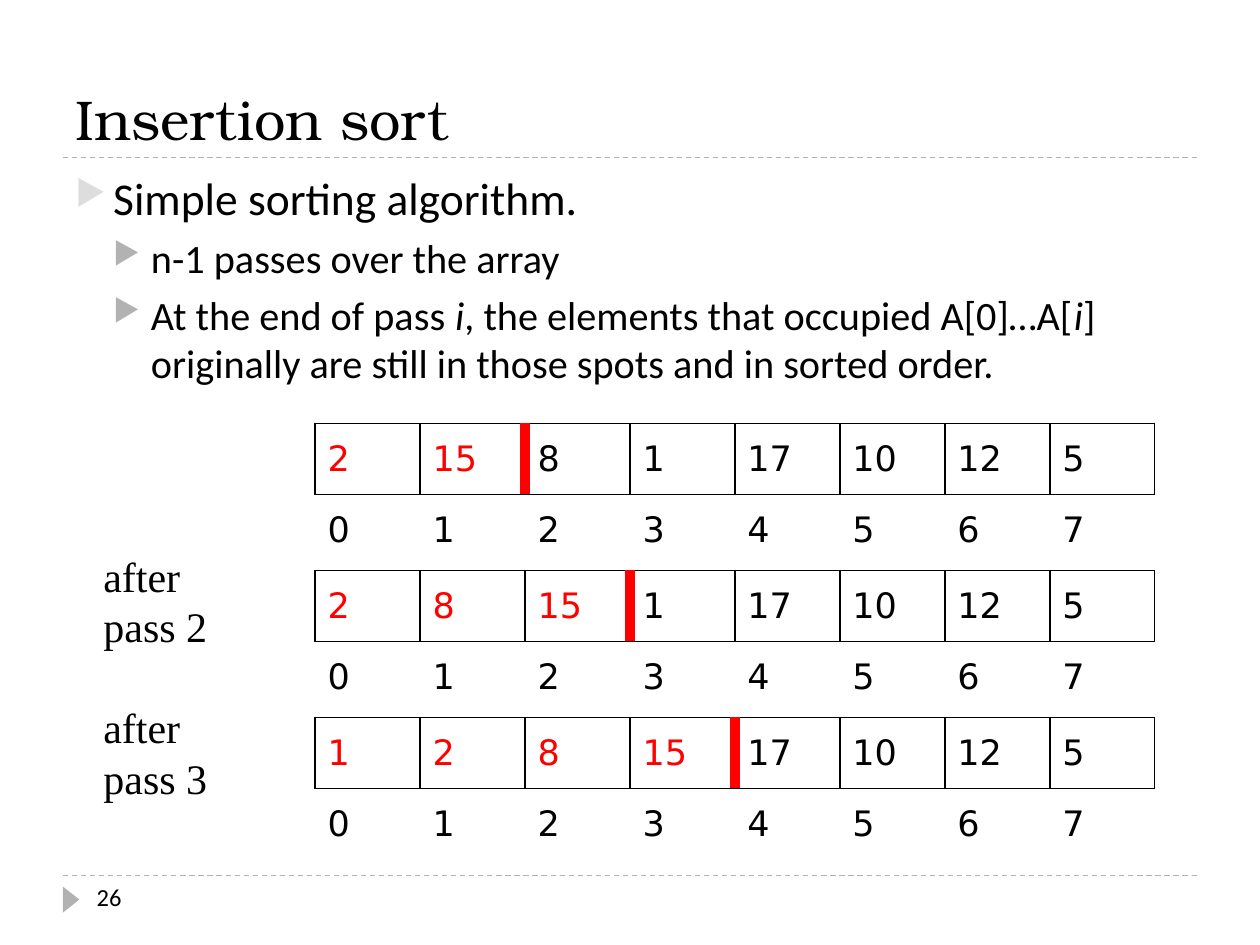
from dataclasses import dataclass

from lxml import etree
from pptx import Presentation
from pptx import util as u
from pptx.dml import color
from pptx.enum import dml, shapes, text
from pptx.oxml import ns

Pt = u.Pt


@dataclass(frozen=True)
class Theme:
    """Colours, fonts and type sizes of the deck."""
    ink: str = "000000"
    sorted: str = "FF0000"
    rule: str = "B2B2B2"
    pale: str = "DDDDDD"
    title_font: str = "TeX Gyre Bonum"
    body_font: str = "Calibri"
    cell_font: str = "DejaVu Sans"
    label_font: str = "Times New Roman"
    title: float = 32
    lead: float = 26
    detail: float = 23
    cell: float = 20
    label: float = 24
    number: float = 14


THEME = Theme()
NO_GRID = "{2D5ABB26-0587-4C30-8999-92F81FD0307C}"


def rgb(value):
    """Return a colour from its hex value."""
    return color.RGBColor.from_string(value)


def add_element(parent, tag, **attributes):
    """Append a DrawingML element to its parent."""
    return etree.SubElement(parent, ns.qn(f"a:{tag}"), attributes)


def style_font(font, name, size, ink=THEME.ink):
    """Set the face, size and colour of a font."""
    font.name, font.size = name, Pt(size)
    font.color.rgb = rgb(ink)


def add_text(page, box, lines, name, size, anchor=text.MSO_ANCHOR.TOP, wrap=True):
    """Place plain lines of text in a box."""
    frame = page.shapes.add_textbox(*map(Pt, box)).text_frame
    frame.word_wrap, frame.vertical_anchor = wrap, anchor
    frame.text = "\n".join(lines)
    for para in frame.paragraphs:
        for span in para.runs:
            style_font(span.font, name, size)


def add_rule(page, left, top, width):
    """Draw a dashed horizontal rule."""
    rule = page.shapes.add_connector(
        shapes.MSO_CONNECTOR.STRAIGHT, Pt(left), Pt(top), Pt(left + width), Pt(top))
    rule.line.color.rgb = rgb(THEME.rule)
    rule.line.width = Pt(0.75)
    rule.line.dash_style = dml.MSO_LINE.DASH
    add_element(rule._element.spPr, "effectLst")


def add_heading(page, box, title):
    """Place the title on top of its rule."""
    left, top, width, height = box
    add_rule(page, left, top + height, width)
    add_text(page, box, [title], THEME.title_font, THEME.title, text.MSO_ANCHOR.BOTTOM)


def add_footer(page, box, number):
    """Place the rule, marker and page number."""
    left, top, width, height = box
    add_rule(page, left, top, width)
    marker = page.shapes.add_shape(
        shapes.MSO_SHAPE.ISOSCELES_TRIANGLE, Pt(left - 2.9), Pt(top + 8.9), Pt(15), Pt(9.5))
    marker.rotation = 90
    marker.shadow.inherit = False
    marker.fill.solid()
    marker.fill.fore_color.rgb = rgb(THEME.rule)
    marker.line.fill.background()
    add_text(page, (left + 12.2, top, 156, height), [number], THEME.body_font, THEME.number)


def add_bullets(page, box, points):
    """Place bulleted points, given as a level and spans with an italic flag."""
    frame = page.shapes.add_textbox(*map(Pt, box)).text_frame
    frame.word_wrap = True
    for order, (level, spans) in enumerate(points):
        para = frame.add_paragraph() if order else frame.paragraphs[0]
        para.level = level
        properties = para._p.get_or_add_pPr()
        properties.set("marL", str(Pt(21.6 * (level + 1))))
        properties.set("indent", str(Pt(-21.6)))
        tint = add_element(properties, "buClr")
        add_element(tint, "srgbClr", val=THEME.rule if level else THEME.pale)
        add_element(properties, "buSzPct", val="76000")
        add_element(properties, "buChar", char="▶")
        if order:
            para.space_before = Pt(5)
        for words, italic in spans:
            span = para.add_run()
            span.text = words
            style_font(span.font, THEME.body_font, THEME.detail if level else THEME.lead)
            span.font.italic = italic


def set_border(cell, side, ink, width):
    """Draw one side of a cell."""
    line = add_element(cell._tc.get_or_add_tcPr(), f"ln{side}", w=str(Pt(width)))
    add_element(add_element(line, "solidFill"), "srgbClr", val=ink)


def add_array(page, box, values, done):
    """Place an array over its indices, with a bar after the sorted part."""
    left, top, width, height = box
    table = page.shapes.add_table(2, len(values), *map(Pt, box)).table
    table.first_row = table.horz_banding = False
    table._tbl.tblPr.find(ns.qn("a:tableStyleId")).text = NO_GRID
    for row in table.rows:
        row.height = Pt(height / 2)
    for column in table.columns:
        column.width = Pt(width / len(values))
    for index, value in enumerate(values):
        for row, number in enumerate((value, index)):
            cell = table.cell(row, index)
            cell.text = str(number)
            cell.vertical_anchor = text.MSO_ANCHOR.MIDDLE
            ink = THEME.sorted if row == 0 and index < done else THEME.ink
            style_font(cell.text_frame.paragraphs[0].runs[0].font,
                       THEME.cell_font, THEME.cell, ink)
            for side in "T" if row else "LRTB":
                barred = (side, index) in (("R", done - 1), ("L", done))
                set_border(cell, side, *((THEME.sorted, 6) if barred else (THEME.ink, 1)))
            cell.fill.background()


def add_passes(page, box, passes):
    """Stack the arrays at equal steps, with labels beside them."""
    left, top, width, step = box
    for order, (label, label_top, values, done) in enumerate(passes):
        add_array(page, (left + 128, top + order * step, width - 128, 81.4), values, done)
        if label:
            add_text(page, (left, label_top, 74, 65), label,
                     THEME.label_font, THEME.label, wrap=False)


def main():
    """Build the insertion sort slide."""
    deck = Presentation()
    deck.slide_width, deck.slide_height = Pt(720), Pt(540)
    page = deck.slides.add_slide(deck.slide_layouts[6])
    add_heading(page, (36, 12, 648, 78), "Insertion sort")
    add_footer(page, (36, 500.4, 648, 29), "26")
    add_bullets(page, (36, 93.6, 648, 356), [
        (0, [("Simple sorting algorithm.", False)]),
        (1, [("n-1 passes over the array", False)]),
        (1, [("At the end of pass ", False), ("i", True),
             (", the elements that occupied A[0]…A[", False), ("i", True),
             ("] originally are still in those spots and in sorted order.", False)]),
    ])
    add_passes(page, (52, 242, 608, 84), [
        (None, None, (2, 15, 8, 1, 17, 10, 12, 5), 2),
        (("after", "pass 2"), 311, (2, 8, 15, 1, 17, 10, 12, 5), 3),
        (("after", "pass 3"), 397.5, (1, 2, 8, 15, 17, 10, 12, 5), 4),
    ])
    deck.save("out.pptx")


if __name__ == "__main__":
    main()
